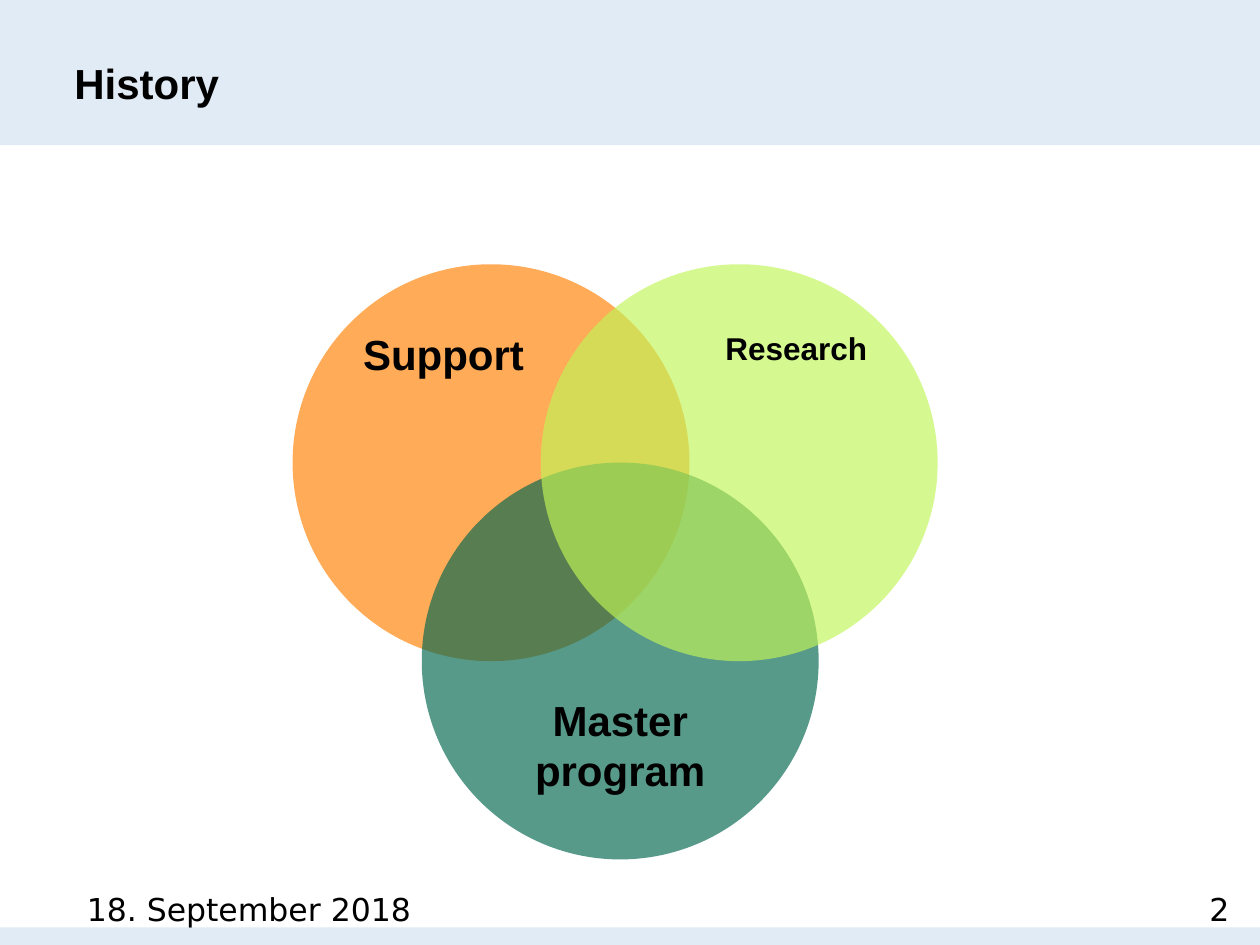
import pptx
import pptx.util
import pptx.dml.color
import pptx.enum.shapes
import pptx.enum.text
import lxml.etree

Pt = pptx.util.Pt
KIND = pptx.enum.shapes.MSO_SHAPE
ALIGN = pptx.enum.text.PP_ALIGN
ANCHOR = pptx.enum.text.MSO_ANCHOR

# Content
SIZE = (720, 540)
BANDS = [((0, -2, 720, 85), "head"), ((0, 530, 720, 10), "foot")]
LABELS = [  # text, box, size, font, bold, anchor, side inset
    ("18. September 2018", (42.5, 515.5, 300, 14.5), "small", "plain", False, ANCHOR.BOTTOM, 7.2),
    ("2", (684, 515.5, 28, 14.5), "small", "plain", False, ANCHOR.BOTTOM, 7.2),
    ("History", (42.5, 15, 521, 64), "large", "main", True, ANCHOR.MIDDLE, 0),
]
DISC = 226.8
DISCS = [  # text, left, top, colour, size, align, anchor
    ("Support", 167.2, 151, "support", "large", ALIGN.LEFT, ANCHOR.TOP),
    ("Master program", 241, 264.3, "master", "large", ALIGN.CENTER, ANCHOR.BOTTOM),
    ("Research", 309, 151, "research", "small", ALIGN.RIGHT, ANCHOR.TOP),
]

THEME = {
    "head": "E1EBF5", "foot": "E1EBF6", "ink": "000000",
    "support": "FF8000", "master": "00664D", "research": "C2F557",
    "alpha": 66, "large": 24, "small": 18,
    "main": "Arial", "plain": "DejaVu Sans",
}


def tint(name):
    return pptx.dml.color.RGBColor.from_string(THEME[name])


def put(item, values):
    for name, value in values.items():
        setattr(item, name, value)


def draw(slide, kind, box, fill, alpha=None):
    shape = slide.shapes.add_shape(kind, *map(Pt, box))
    shape.shadow.inherit = False
    shape.line.fill.background()
    shape.fill.solid()
    shape.fill.fore_color.rgb = tint(fill)
    if alpha:
        color = shape.fill._xPr.find(".//" + pptx.oxml.ns.qn("a:srgbClr"))
        lxml.etree.SubElement(color, pptx.oxml.ns.qn("a:alpha"), val=str(alpha * 1000))
    return shape


def write(shape, text, size, font, bold, align, anchor, side=7.2, edge=3.6):
    frame = shape.text_frame
    put(frame, {
        "word_wrap": True, "vertical_anchor": anchor,
        "margin_left": Pt(side), "margin_right": Pt(side),
        "margin_top": Pt(edge), "margin_bottom": Pt(edge),
    })
    para = frame.paragraphs[0]
    para.alignment = align
    run = para.add_run()
    run.text = text
    put(run.font, {"name": THEME[font], "size": Pt(THEME[size]), "bold": bold})
    run.font.color.rgb = tint("ink")


def main():
    deck = pptx.Presentation()
    put(deck, {"slide_width": Pt(SIZE[0]), "slide_height": Pt(SIZE[1])})
    slide = deck.slides.add_slide(deck.slide_layouts[6])

    # Bands at top and bottom
    for box, fill in BANDS:
        draw(slide, KIND.RECTANGLE, box, fill)

    # Venn discs
    for text, left, top, fill, size, align, anchor in DISCS:
        disc = draw(slide, KIND.OVAL, (left, top, DISC, DISC), fill, THEME["alpha"])
        write(disc, text, size, "main", True, align, anchor)

    # Date, page number and title
    for text, box, size, font, bold, anchor, side in LABELS:
        label = slide.shapes.add_textbox(*map(Pt, box))
        write(label, text, size, font, bold, ALIGN.LEFT, anchor, side, 0)

    deck.save("out.pptx")


if __name__ == "__main__":
    main()
